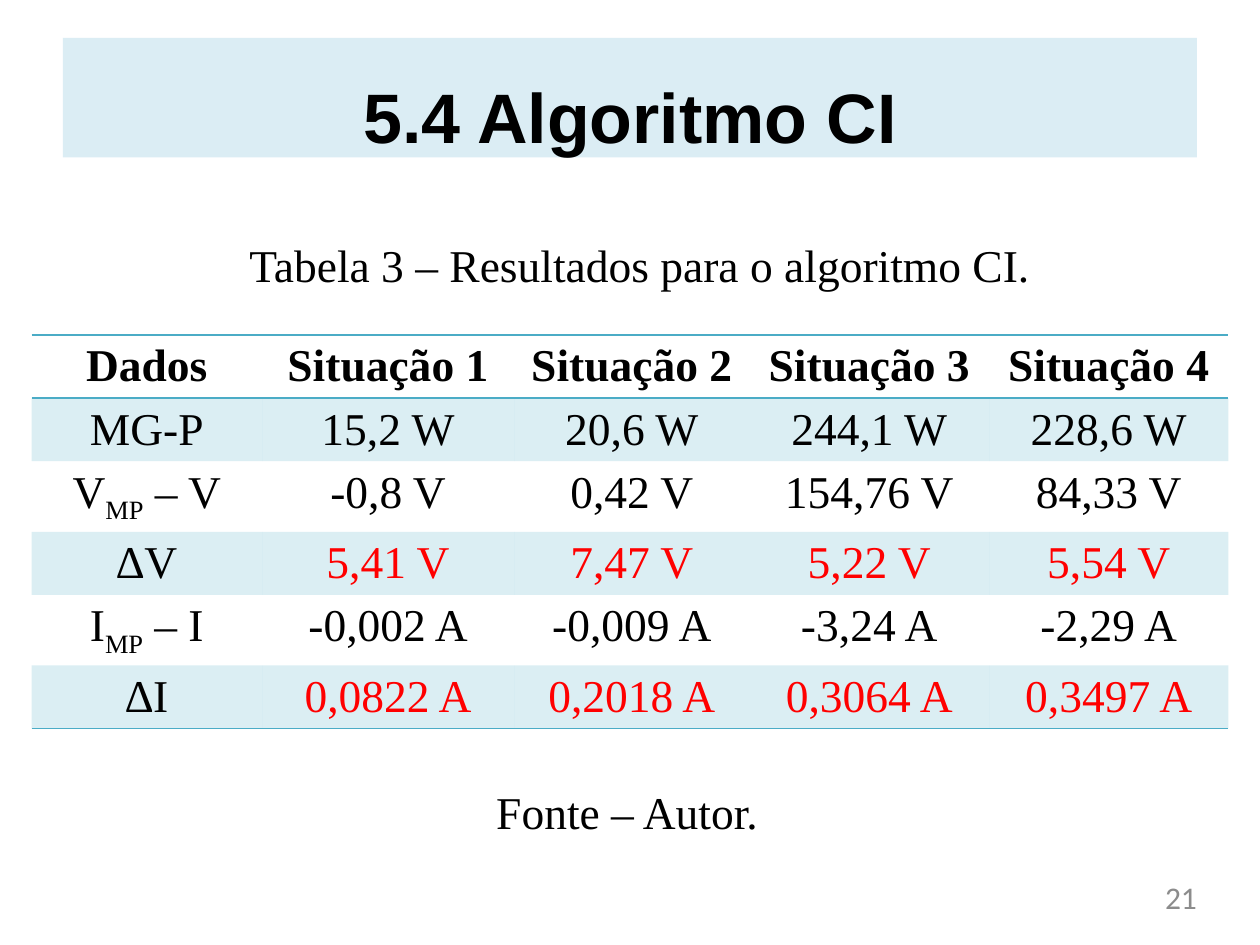
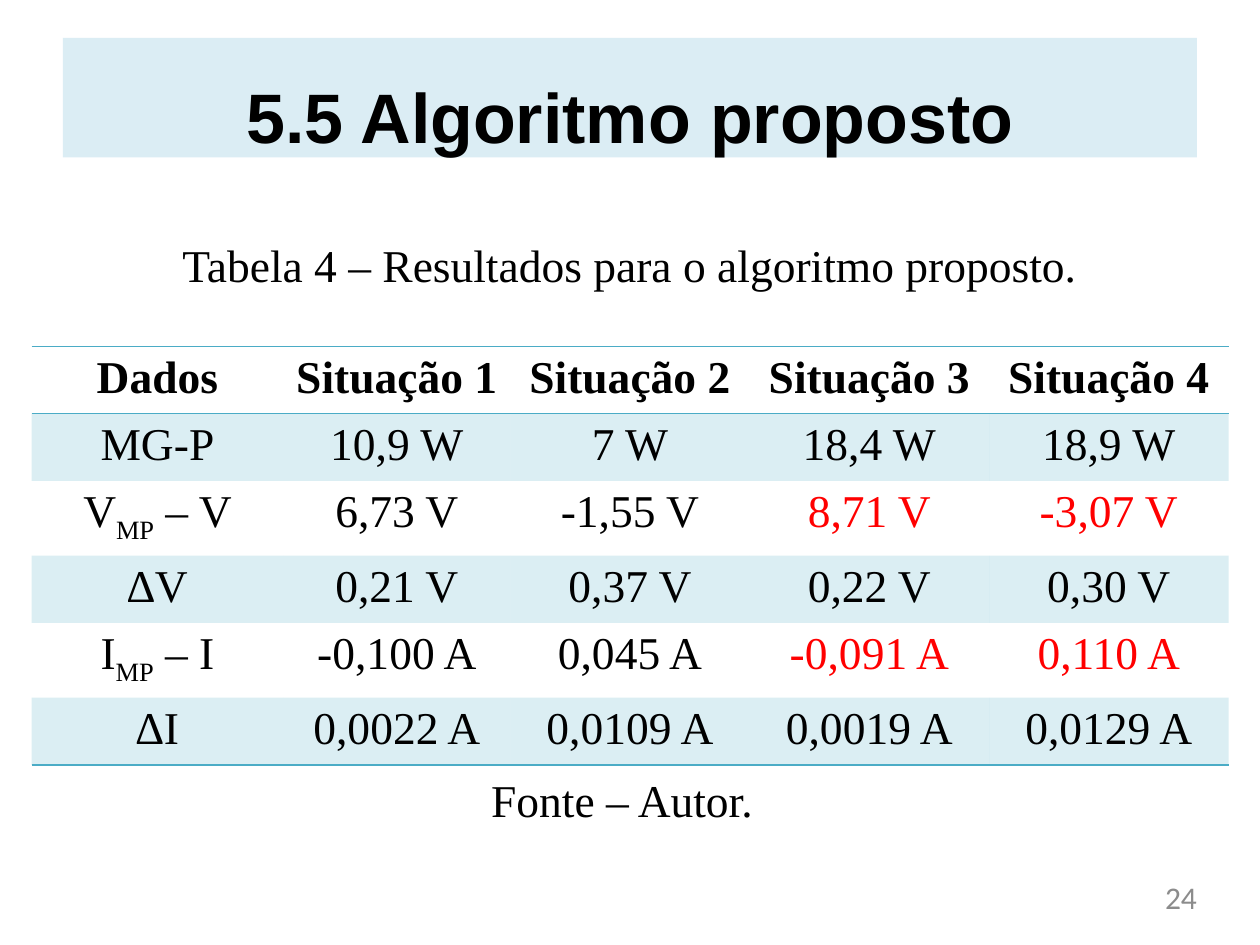
from lxml.etree import SubElement
from pptx import Presentation
from pptx.dml.color import RGBColor
from pptx.enum.shapes import MSO_SHAPE
from pptx.enum.text import PP_ALIGN
from pptx.oxml import parse_xml
from pptx.oxml.ns import nsdecls, qn
from pptx.util import Emu, Pt

EMU_PER_PX = 9144
BLACK, RED, GRAY = "000000", "FF0000", "8C8C8C"
ACCENT, TITLE_BAND = "4BACC6", "DBEDF4"
BAND_OPACITY = 20000
NO_TABLE_STYLE = "{2D5ABB26-0587-4C30-8999-92F81FD0307C}"

TITLE_FONT = {"name": "Arial", "size": Pt(40), "bold": True}
BODY_FONT = {"name": "Times New Roman", "size": Pt(26), "bold": False}
HEADER_FONT = {**BODY_FONT, "bold": True}
NUMBER_FONT = {"name": "Calibri", "size": Pt(18), "bold": False}

HEADERS = ["Dados"] + [f"Situação {number}" for number in range(1, 5)]
LABELS = ["MG-P", "V[MP] – V", "∆V", "I[MP] – I", "∆I"]
ROW_HEIGHTS = [50, 50, 56, 50, 56, 50]

RESULTS = [
    {
        "title": "5.4 Algoritmo CI",
        "caption": "Tabela 3 – Resultados para o algoritmo CI.",
        "caption_left": 33,
        "table_top": 266,
        "columns": [183, 200, 187, 190, 190],
        "values": [
            ["15,2 W", "20,6 W", "244,1 W", "228,6 W"],
            ["-0,8 V", "0,42 V", "154,76 V", "84,33 V"],
            ["5,41 V", "7,47 V", "5,22 V", "5,54 V"],
            ["-0,002 A", "-0,009 A", "-3,24 A", "-2,29 A"],
            ["0,0822 A", "0,2018 A", "0,3064 A", "0,3497 A"],
        ],
        "red_rows": (3, 5),
        "red_columns": (1, 2, 3, 4),
        "source_at": (384, 617),
        "number": "21",
    },
    {
        "title": "5.5 Algoritmo proposto",
        "caption": "Tabela 4 – Resultados para o algoritmo proposto.",
        "caption_left": 25,
        "table_top": 275,
        "columns": [200, 180, 190, 190, 190],
        "values": [
            ["10,9 W", "7 W", "18,4 W", "18,9 W"],
            ["6,73 V", "-1,55 V", "8,71 V", "-3,07 V"],
            ["0,21 V", "0,37 V", "0,22 V", "0,30 V"],
            ["-0,100 A", "0,045 A", "-0,091 A", "0,110 A"],
            ["0,0022 A", "0,0109 A", "0,0019 A", "0,0129 A"],
        ],
        "red_rows": (2, 4),
        "red_columns": (3, 4),
        "source_at": (380, 608),
        "number": "24",
    },
]


def px(*lengths):
    return [Emu(length * EMU_PER_PX) for length in lengths]


def color(value):
    return RGBColor.from_string(value)


def set_margins(frame, top=0):
    margins = {"left": 0, "top": top, "right": 0, "bottom": 0}
    for side, length in margins.items():
        setattr(frame, f"margin_{side}", px(length)[0])


def write(frame, text, font, font_color=BLACK, align=PP_ALIGN.CENTER):
    paragraph = frame.paragraphs[0]
    paragraph.alignment = align
    for index, part in enumerate(text.replace("]", "[").split("[")):
        run = paragraph.add_run()
        run.text = part
        for name, value in font.items():
            setattr(run.font, name, value)
        run.font.color.rgb = color(font_color)
        if index % 2:
            run.font._element.set("baseline", "-25000")


def add_title(slide, text):
    shape = slide.shapes.add_shape(MSO_SHAPE.RECTANGLE, *px(50, 30, 900, 95))
    shape.shadow.inherit = False
    shape.fill.solid()
    shape.fill.fore_color.rgb = color(TITLE_BAND)
    shape.line.fill.background()
    frame = shape.text_frame
    frame.word_wrap = True
    frame.vertical_anchor = 1
    set_margins(frame, top=28)
    write(frame, text, TITLE_FONT)


def add_text(slide, box, text, wrap=True, align=PP_ALIGN.CENTER):
    frame = slide.shapes.add_textbox(*px(*box)).text_frame
    frame.word_wrap = wrap
    write(frame, text, BODY_FONT, align=align)


def add_slide_number(slide, number):
    frame = slide.shapes.add_textbox(*px(720, 697, 230, 38)).text_frame
    frame.word_wrap = True
    set_margins(frame)
    write(frame, number, NUMBER_FONT, GRAY, PP_ALIGN.RIGHT)


def fill_band(cell):
    cell.fill.solid()
    cell.fill.fore_color.rgb = color(ACCENT)
    accent = cell._tc.tcPr.find(f".//{qn('a:srgbClr')}")
    SubElement(accent, qn("a:alpha"), val=str(BAND_OPACITY))


def add_borders(cell, sides):
    for index, side in enumerate(sides):
        line = parse_xml(
            f'<a:ln{side} {nsdecls("a")} w="12700"><a:solidFill>'
            f'<a:srgbClr val="{ACCENT}"/></a:solidFill></a:ln{side}>'
        )
        cell._tc.get_or_add_tcPr().insert(index, line)


def add_results_table(slide, result):
    rows = [HEADERS] + [[label] + values for label, values in zip(LABELS, result["values"])]
    box = px(25, result["table_top"], sum(result["columns"]), sum(ROW_HEIGHTS))
    table = slide.shapes.add_table(len(rows), len(HEADERS), *box).table
    table.first_row = table.horz_banding = False
    table._tbl.tblPr.find(qn("a:tableStyleId")).text = NO_TABLE_STYLE
    for column, width in zip(table.columns, px(*result["columns"])):
        column.width = width
    for row, height in zip(table.rows, px(*ROW_HEIGHTS)):
        row.height = height

    borders = {0: "TB", len(rows) - 1: "B"}
    for row_index, texts in enumerate(rows):
        for column_index, text in enumerate(texts):
            cell = table.cell(row_index, column_index)
            if row_index % 2:
                fill_band(cell)
            else:
                cell.fill.background()
            add_borders(cell, borders.get(row_index, ""))
            is_red = row_index in result["red_rows"] and column_index in result["red_columns"]
            font = BODY_FONT if row_index else HEADER_FONT
            write(cell.text_frame, text, font, RED if is_red else BLACK)


def add_results_slide(presentation, result):
    slide = presentation.slides.add_slide(presentation.slide_layouts[6])
    add_results_table(slide, result)
    add_text(slide, (result["caption_left"], 183, 950, 54), result["caption"])
    source_box = (*result["source_at"], 230, 54)
    add_text(slide, source_box, "Fonte – Autor.", wrap=False, align=PP_ALIGN.LEFT)
    add_title(slide, result["title"])
    add_slide_number(slide, result["number"])


def main():
    presentation = Presentation()
    presentation.slide_width, presentation.slide_height = px(1000, 750)
    for result in RESULTS:
        add_results_slide(presentation, result)
    presentation.save("out.pptx")


if __name__ == "__main__":
    main()
